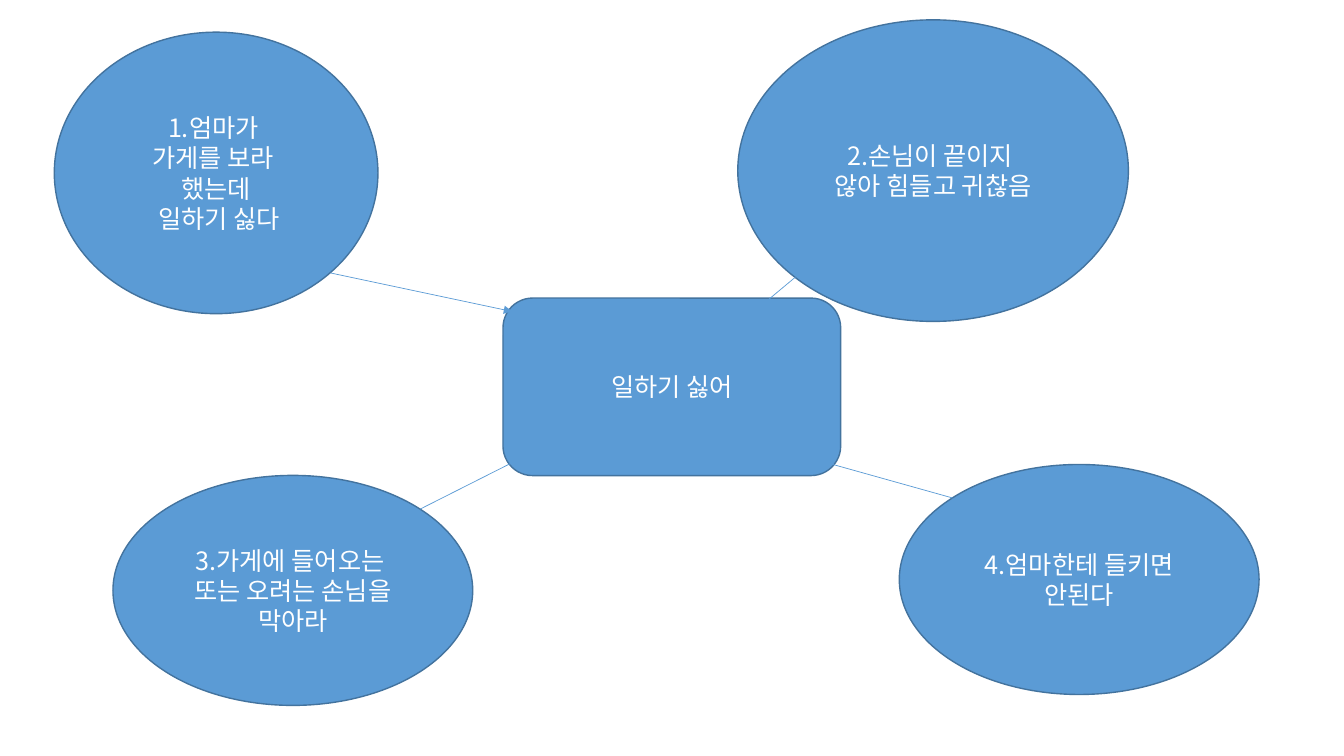
from lxml import etree
from pptx import Presentation
from pptx.dml.color import RGBColor
from pptx.enum import shapes, text
from pptx.oxml import ns
from pptx.util import Pt

BLUE = RGBColor(0x5B, 0x9B, 0xD5)
DARK_BLUE = RGBColor(0x43, 0x73, 0x9E)
WHITE = RGBColor(0xFF, 0xFF, 0xFF)


class MindMap:
    """Style and current slide, with one method per kind of element."""
    font = "Noto Sans CJK KR"
    size = Pt(18)

    def __init__(self, slide):
        self.slide = slide

    def bubble(self, kind, box, lines):
        bubble = self.slide.shapes.add_shape(kind, *map(Pt, box))
        bubble.shadow.inherit = False
        bubble.fill.solid()
        bubble.fill.fore_color.rgb = BLUE
        bubble.line.color.rgb = DARK_BLUE
        bubble.line.width = Pt(1)
        frame = bubble.text_frame
        frame.word_wrap = True
        frame.vertical_anchor = text.MSO_ANCHOR.MIDDLE
        frame.text = "\n".join(lines)
        for line in frame.paragraphs:
            line.alignment = text.PP_ALIGN.CENTER
            line.font.size = self.size
            line.font.color.rgb = WHITE
            line.font.name = self.font
            # Korean letters take the East Asian typeface
            defaults = line._p.pPr.find(ns.qn("a:defRPr"))
            etree.SubElement(defaults, ns.qn("a:ea"), typeface=self.font)

    def link(self, ends, arrow=False):
        link = self.slide.shapes.add_connector(
            shapes.MSO_CONNECTOR.STRAIGHT, *map(Pt, ends))
        link.line.color.rgb = BLUE
        link.line.width = Pt(0.5)
        if arrow:
            etree.SubElement(link.line._get_or_add_ln(),
                             ns.qn("a:tailEnd"), type="triangle")
        etree.SubElement(link._element.spPr, ns.qn("a:effectLst"))


def main():
    deck = Presentation()
    deck.slide_width, deck.slide_height = Pt(960), Pt(540)
    mind_map = MindMap(deck.slides.add_slide(deck.slide_layouts[6]))

    # Central topic
    mind_map.bubble(shapes.MSO_SHAPE.ROUNDED_RECTANGLE,
                    (359.3, 212.9, 241.2, 126.8), ["일하기 싫어"])

    # Reasons around it: box, lines, link ends, arrowhead
    reasons = [
        ((38.8, 23, 231.2, 201.1),
         ["1.엄마가 ", "가게를 보라 ", "했는데", " 일하기 싫다"],
         (236.2, 195, 365.8, 222.5), True),
        ((527, 14.2, 279, 215.4),
         ["2.손님이 끝이지 ", "않아 힘들고 귀찮음"],
         (568.1, 198, 502.6, 252.7), False),
        ((80.7, 339.6, 257, 164.3),
         ["3.가게에 들어오는 ", "또는 오려는 손님을 막아라"],
         (365.8, 330.5, 300.2, 363.6), False),
        ((642.4, 331.8, 257, 164.3),
         ["4.엄마한테 들키면 안된다"],
         (590.4, 330.5, 680.4, 355.7), False),
    ]
    for box, lines, ends, arrow in reasons:
        mind_map.bubble(shapes.MSO_SHAPE.OVAL, box, lines)
        mind_map.link(ends, arrow)

    deck.save("out.pptx")


if __name__ == "__main__":
    main()
